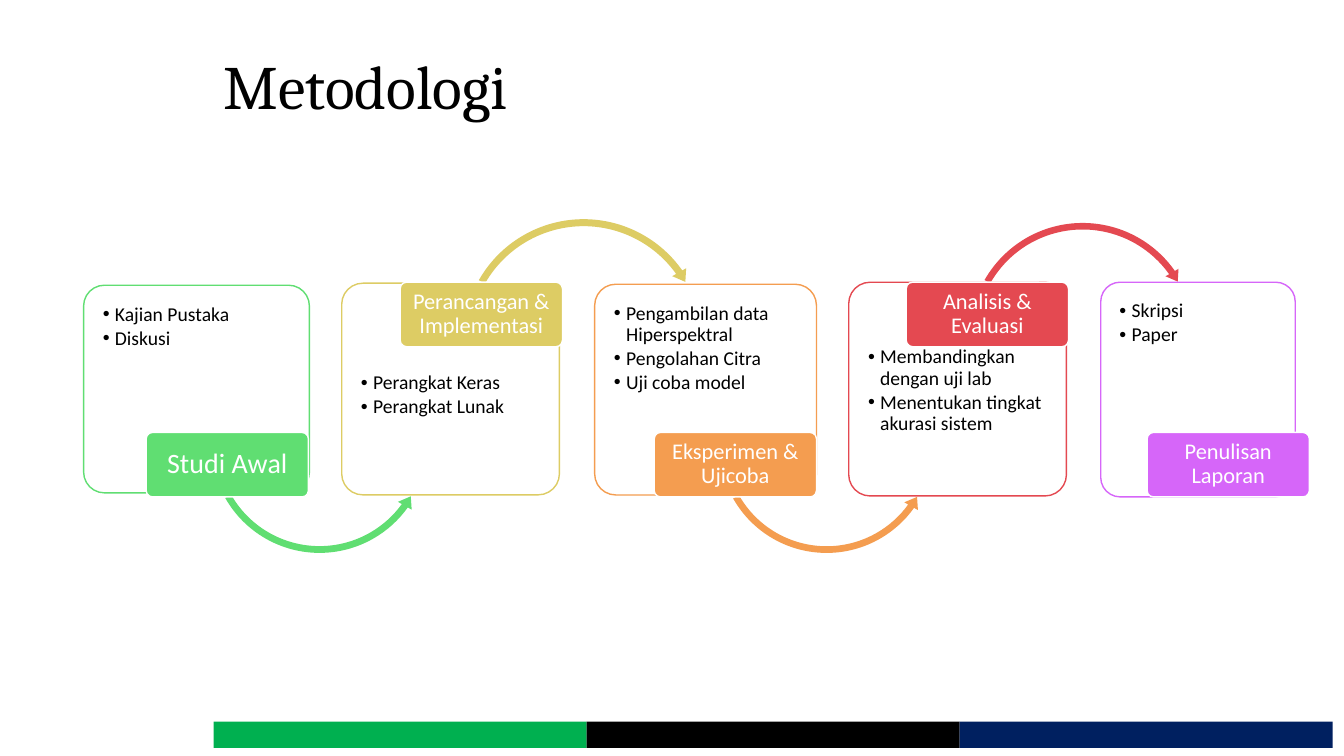
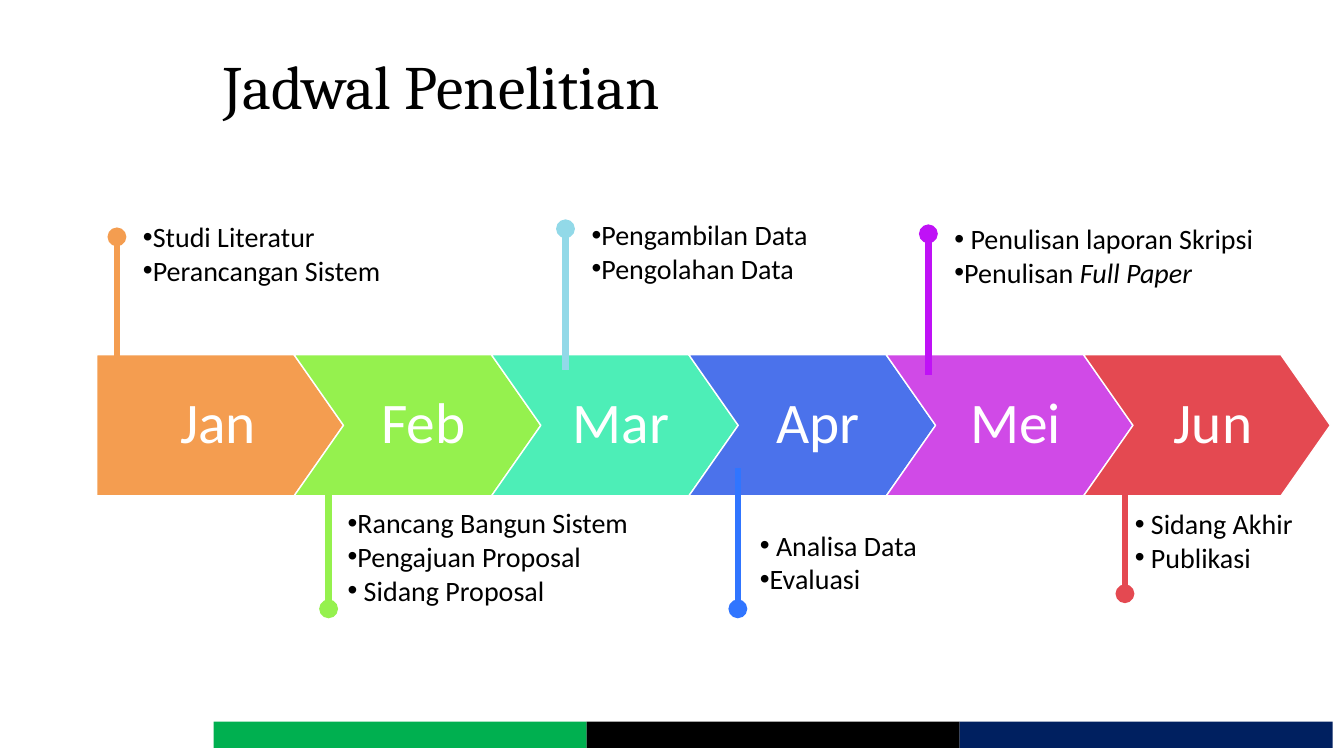
"""Builds a methodology flow and a research timeline on a shared slide style."""
from dataclasses import dataclass

from lxml import etree
from pptx import Presentation
from pptx import util as u
from pptx.dml.color import RGBColor
from pptx.enum import shapes, text
from pptx.oxml import ns


@dataclass(frozen=True)
class Theme:
    heading: str = "Cambria"
    body: str = "Calibri"
    ink: str = "000000"
    paper: str = "FFFFFF"
    bands: tuple = ("00B050", "000000", "002060")
    orange: str = "F49D50"
    red: str = "E44951"
    lime: str = "95F14E"
    title_size: int = 44
    month_size: int = 41
    note_size: int = 20
    tag_size: int = 16
    list_size: int = 14


theme = Theme()
CELL = u.Inches(0.1)


def grid(*cells):
    return [round(cell * CELL) for cell in cells]


def write(box, lines, size, color=theme.ink, font=theme.body, align=text.PP_ALIGN.LEFT,
          anchor=text.MSO_ANCHOR.TOP, margins=(1, 0.5, 1, 0.5), spacing=1, after=0,
          hanging=None, fit=text.MSO_AUTO_SIZE.NONE):
    frame = box.text_frame
    frame.word_wrap, frame.auto_size, frame.vertical_anchor = True, fit, anchor
    (frame.margin_left, frame.margin_top,
     frame.margin_right, frame.margin_bottom) = grid(*margins)
    for number, line in enumerate(lines):
        para = frame.add_paragraph() if number else frame.paragraphs[0]
        para.alignment, para.line_spacing, para.space_after = align, spacing, u.Pt(after)
        for part, words in enumerate(line.split("*")):
            if words:
                span = para.add_run()
                span.text = words
                span.font.name, span.font.size = font, u.Pt(size)
                span.font.color.rgb = RGBColor.from_string(color)
                if part % 2:
                    span.font.italic = True
        if hanging is not None:
            props = para._p.get_or_add_pPr()
            indent = round(hanging * CELL)
            props.set("marL", str(indent))
            props.set("indent", str(-indent))
            etree.SubElement(props, ns.qn("a:buFont")).set("typeface", "Arial")
            etree.SubElement(props, ns.qn("a:buChar")).set("char", "•")


def paint(shape, fill, line=None):
    shape.shadow.inherit = False
    shape.fill.solid()
    shape.fill.fore_color.rgb = RGBColor.from_string(fill)
    if line:
        shape.line.color.rgb = RGBColor.from_string(line)
        shape.line.width = u.Pt(1)
    else:
        shape.line.fill.background()


deck = Presentation()
deck.slide_width, deck.slide_height = grid(133.33, 75)
layout = deck.slide_layouts[5]
heading = layout.placeholders[0]
heading.left, heading.top, heading.width, heading.height = grid(21.2, 3, 110.6, 11.8)

pages = []
for title in ("Metodologi", "Jadwal Penelitian"):
    page = deck.slides.add_slide(layout)
    write(page.shapes.title, [title], theme.title_size, font=theme.heading,
          anchor=text.MSO_ANCHOR.MIDDLE, spacing=0.9)
    pages.append(page)
flow, schedule = pages

for column, color in enumerate(theme.bands):
    band = flow.shapes.add_shape(shapes.MSO_SHAPE.RECTANGLE,
                                 *grid(21.2 + 37 * column, 71.6, 37, 2.6))
    paint(band, color)
    deck.slide_master.shapes.element.append(band.element)

UPPER, LOWER = 28, 42.9
DIP = (shapes.MSO_SHAPE.LEFT_CIRCULAR_ARROW, (3, 364, 2140, 9025, 3.5))
ARCH = (shapes.MSO_SHAPE.CIRCULAR_ARROW, (2.8, 337, 19487, 12575, 3.2))
steps = [
    ("Studi Awal", "60DE72", 20, (8.3, 28.3, 22.4, 20.6), 1.3, (14.5, LOWER),
     DIP, (20.5, 32.9, 22.4), ["Kajian Pustaka", "Diskusi"]),
    ("Perancangan & Implementasi", "DDCC64", theme.tag_size, (33.9, 28.1, 21.6, 21), 8.3,
     (39.7, UPPER), ARCH, (45.5, 21.3, 24.8), ["Perangkat Keras", "Perangkat Lunak"]),
    ("Eksperimen & Ujicoba", theme.orange, theme.tag_size, (59, 28.2, 22, 20.9), 1.3,
     (64.9, LOWER), DIP, (70.9, 33.1, 22.2),
     ["Pengambilan data Hiperspektral", "Pengolahan Citra", "Uji coba model"]),
    ("Analisis & Evaluasi", theme.red, theme.tag_size, (84.2, 28, 21.6, 21.2), 5.8,
     (89.9, UPPER), ARCH, (95.8, 21.7, 23.2),
     ["Membandingkan dengan uji lab", "Menentukan tingkat akurasi sistem"]),
    ("Penulisan Laporan", "D666F9", theme.tag_size, (109.2, 28, 19.3, 21.3), 1.3,
     (113.8, LOWER), None, None, ["Skripsi", "Paper"]),
]
for name, color, size, area, drop, corner, bend, circle, items in steps:
    card = flow.shapes.add_shape(shapes.MSO_SHAPE.ROUNDED_RECTANGLE, *grid(*area))
    card.adjustments[0] = 0.1
    paint(card, theme.paper, color)
    tint = card.element.spPr.find(ns.qn("a:solidFill")).find(ns.qn("a:srgbClr"))
    etree.SubElement(tint, ns.qn("a:alpha")).set("val", "90000")
    write(card, items, theme.list_size, margins=(1.3, drop, 1.3, 1.3),
          spacing=0.9, after=2, hanging=1.2)
    if bend:
        kind, percents = bend
        left, top, side = circle
        arrow = flow.shapes.add_shape(kind, *grid(left, top, side, side))
        for index, percent in enumerate(percents):
            arrow.adjustments[index] = percent / 100
        paint(arrow, color)
    tag = flow.shapes.add_shape(shapes.MSO_SHAPE.ROUNDED_RECTANGLE, *grid(*corner, 16.1, 6.4))
    tag.adjustments[0] = 0.1
    paint(tag, color, theme.paper)
    write(tag, [name], size, theme.paper, align=text.PP_ALIGN.CENTER,
          anchor=text.MSO_ANCHOR.MIDDLE, margins=(0.3, 0.2, 0.3, 0.2), spacing=0.9)

START, PITCH, POINT, TOP, HEIGHT = 9.6, 19.58, 4.9, 35.2, 14
STEM = 14
months = [
    ("Jan", theme.orange, theme.orange, (11.6, 23.5), 1, (13.2, 21.3, 31.8),
     ["Studi Literatur", "Perancangan Sistem"]),
    ("Feb", theme.lime, theme.lime, (32.6, 60.4), -1, (33.5, 49.7, 31.8),
     ["Rancang Bangun Sistem", "Pengajuan Proposal", " Sidang Proposal"]),
    ("Mar", "4DEEB7", "92D9E8", (56.1, 22.7), 1, (57.7, 21.1, 31.8),
     ["Pengambilan Data", "Pengolahan Data"]),
    ("Apr", "4B72EB", "3075FF", (73.2, 60.4), -1, (74.4, 51.9, 31.8),
     [" Analisa Data", "Evaluasi"]),
    ("Mei", "D04AE7", "BF12F6", (92.1, 23.2), 1, (93.7, 21.5, 33.6),
     [" Penulisan laporan Skripsi", "Penulisan *Full Paper*"]),
    ("Jun", theme.red, theme.red, (111.6, 58.9), -1, (111.6, 49.8, 21.6),
     [" Sidang Akhir", " Publikasi"]),
]
for column, (name, color, *_) in enumerate(months):
    left = START + PITCH * column
    right, middle, bottom = left + PITCH, TOP + HEIGHT / 2, TOP + HEIGHT
    outline = [(right, TOP), (right + POINT, middle), (right, bottom), (left, bottom)]
    if column:
        outline.append((left + POINT, middle))
    builder = schedule.shapes.build_freeform(*grid(left, TOP))
    builder.add_line_segments([grid(*point) for point in outline], close=True)
    chevron = builder.convert_to_shape()
    paint(chevron, color, theme.paper)
    write(chevron, [name], theme.month_size, theme.paper, align=text.PP_ALIGN.CENTER,
          anchor=text.MSO_ANCHOR.MIDDLE, spacing=0.9,
          margins=(6.2, 1.2, 5, 1.2) if column else (2.4, 1.2, 2.8, 1.2))

for _, _, color, (x, y), direction, (left, top, width), items in months:
    stem = schedule.shapes.add_connector(shapes.MSO_CONNECTOR.STRAIGHT,
                                         *grid(x, y, x, y + direction * STEM))
    stem.line.color.rgb = RGBColor.from_string(color)
    stem.line.width = u.Pt(4.5)
    stroke = stem.element.spPr.find(ns.qn("a:ln"))
    etree.SubElement(stroke, ns.qn("a:headEnd")).set("type", "oval")
    etree.SubElement(stem.element.spPr, ns.qn("a:effectLst"))
    note = schedule.shapes.add_textbox(*grid(left, top, width, 1 + 3.35 * len(items)))
    write(note, items, theme.note_size, hanging=0, fit=text.MSO_AUTO_SIZE.SHAPE_TO_FIT_TEXT)

deck.save("out.pptx")
